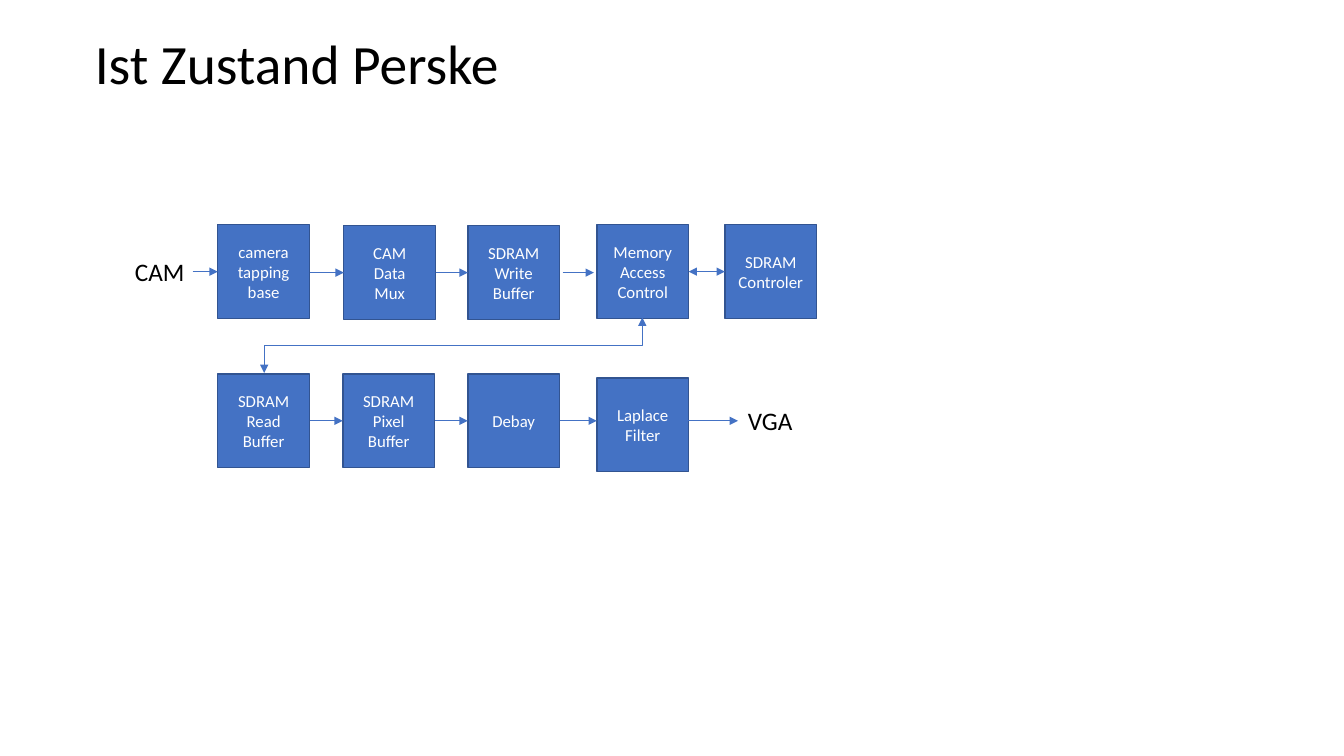
"""Build the slide with the camera-to-VGA processing chain."""
from lxml.etree import SubElement
from pptx import Presentation
from pptx.dml.color import RGBColor
from pptx.enum.shapes import MSO_CONNECTOR as Link, MSO_SHAPE as Shape
from pptx.enum.text import MSO_ANCHOR as Anchor, MSO_AUTO_SIZE as AutoSize, PP_ALIGN as Align
from pptx.oxml.ns import qn
from pptx.util import Inches, Pt


def style_text(paragraph, size, color, align):
    paragraph.font.size = Pt(size)
    paragraph.font.name = "Calibri"
    paragraph.font.color.rgb = RGBColor.from_string(color)
    paragraph.alignment = align


def style_arrow(arrow, both_ways):
    arrow.line.color.rgb = RGBColor.from_string("4472C4")
    arrow.line.width = Pt(0.5)
    outline = arrow.line._get_or_add_ln()
    for end in ["headEnd", "tailEnd"] if both_ways else ["tailEnd"]:
        SubElement(outline, qn(f"a:{end}"), type="triangle")
    SubElement(arrow._element.spPr, qn("a:effectLst"))


prs = Presentation()
prs.slide_width, prs.slide_height = Inches(13.33), Inches(7.5)
slide = prs.slides.add_slide(prs.slide_layouts[5])

title = slide.shapes.title
title.left, title.top = Inches(0.84), Inches(0.29)
title.width, title.height = Inches(11.5), Inches(0.74)
title.text_frame.text = "Ist Zustand Perske"
title.text_frame.vertical_anchor = Anchor.MIDDLE
title.text_frame.auto_size = AutoSize.NONE
title.text_frame.paragraphs[0].line_spacing = 0.9
style_text(title.text_frame.paragraphs[0], 39.6, "000000", Align.LEFT)

stages = {}
for stage, left, top, label in [
    ("camera", 2.16, 2.23, "camera\ntapping\nbase"),
    ("mux", 3.41, 2.24, "CAM\nData\nMux"),
    ("write", 4.64, 2.24, "SDRAM\nWrite\nBuffer"),
    ("memory", 5.92, 2.23, "Memory\nAccess\nControl"),
    ("sdram", 7.19, 2.23, "SDRAM\nControler"),
    ("read", 2.16, 3.71, "SDRAM\nRead\nBuffer"),
    ("pixel", 3.4, 3.71, "SDRAM\nPixel\nBuffer"),
    ("debay", 4.64, 3.71, "Debay"),
    ("laplace", 5.92, 3.75, "Laplace\nFilter"),
]:
    box = slide.shapes.add_shape(
        Shape.RECTANGLE, Inches(left), Inches(top), Inches(0.91), Inches(0.93))
    box.shadow.inherit = False
    box.fill.solid()
    box.fill.fore_color.rgb = RGBColor.from_string("4472C4")
    box.line.color.rgb = RGBColor.from_string("325491")
    box.line.width = Pt(1)
    box.text_frame.vertical_anchor = Anchor.MIDDLE
    box.text_frame.paragraphs[0].text = label
    style_text(box.text_frame.paragraphs[0], 12, "FFFFFF", Align.CENTER)
    stages[stage] = box

for port, left, top, width in [("CAM", 1.24, 2.49, 0.7), ("VGA", 7.32, 3.97, 0.65)]:
    port_label = slide.shapes.add_textbox(Inches(left), Inches(top), Inches(width), Inches(0.4))
    port_label.text_frame.word_wrap = False
    port_label.text_frame.auto_size = AutoSize.SHAPE_TO_FIT_TEXT
    port_label.text_frame.text = port
    style_text(port_label.text_frame.paragraphs[0], 18, "000000", Align.LEFT)

for start_x, end_x, level, source, target in [
    (1.91, 2.16, "camera", None, "camera"),
    (3.07, 3.41, "mux", None, "mux"),
    (4.32, 4.64, "write", "mux", "write"),
    (5.58, 5.89, "write", None, None),
    (6.83, 7.19, "sdram", "memory", "sdram"),
    (3.07, 3.4, "read", "read", "pixel"),
    (4.31, 4.64, "debay", "pixel", "debay"),
    (5.55, 5.92, "debay", "debay", None),
    (6.67, 7.32, "debay", None, None),
]:
    middle = stages[level].top + stages[level].height // 2
    flow = slide.shapes.add_connector(
        Link.STRAIGHT, Inches(start_x), middle, Inches(end_x), middle)
    if source:
        flow.begin_connect(stages[source], 3)
    if target:
        flow.end_connect(stages[target], 1)
    style_arrow(flow, both_ways=target == "sdram")

read_back = slide.shapes.add_connector(
    Link.ELBOW, Inches(4.22), Inches(1.55), Inches(4.77), Inches(5.3))
read_back._element.spPr.find(qn("a:xfrm")).set("rot", str(90 * 60000))
style_arrow(read_back, both_ways=True)

prs.save("out.pptx")
